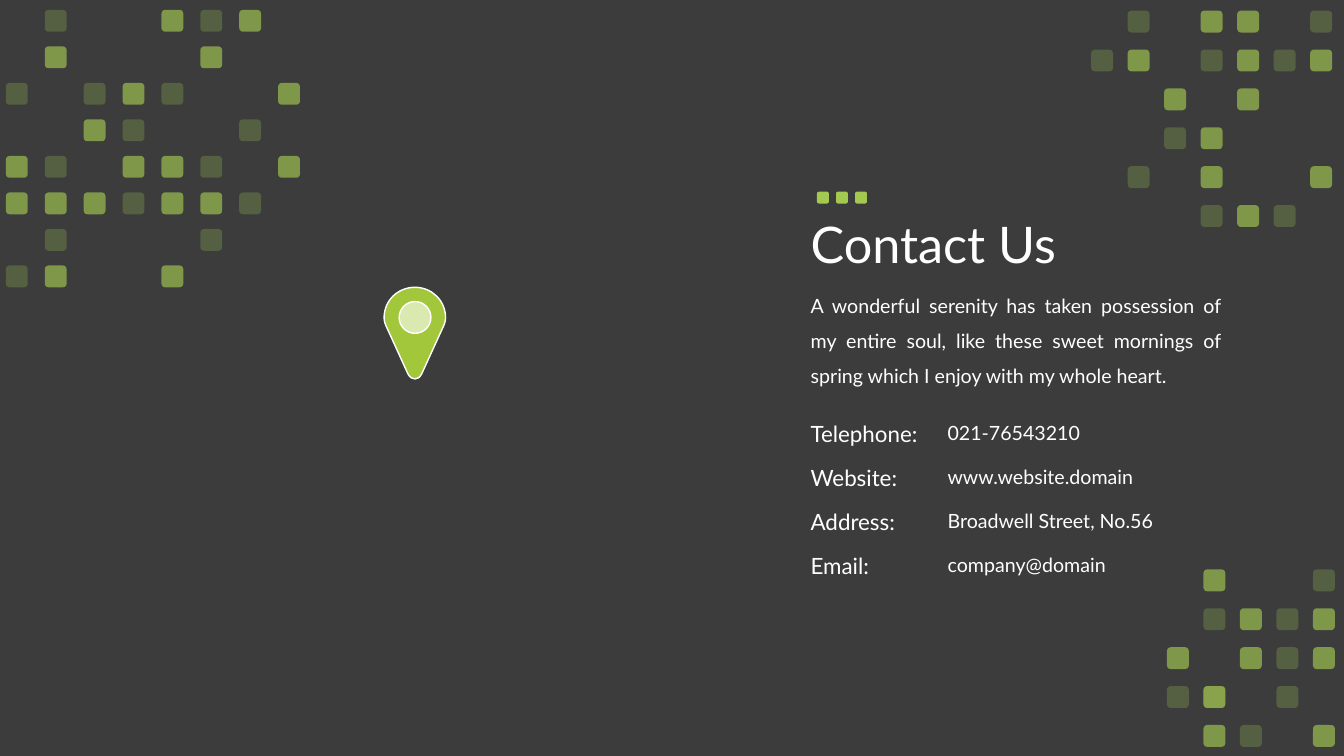
from lxml import etree
from pptx import Presentation
from pptx.dml.color import RGBColor
from pptx.enum.shapes import MSO_SHAPE
from pptx.enum.text import MSO_ANCHOR, PP_ALIGN
from pptx.oxml.ns import qn
from pptx.util import Cm, Pt

ROUNDED = MSO_SHAPE.ROUNDED_RECTANGLE
OVAL = MSO_SHAPE.OVAL
TOP, MIDDLE = MSO_ANCHOR.TOP, MSO_ANCHOR.MIDDLE
LEFT, JUSTIFY = PP_ALIGN.LEFT, PP_ALIGN.JUSTIFY

FONT = "Lato"
BACKGROUND, WHITE = "3C3C3C", "FFFFFF"
TILE_GREEN, PIN_GREEN, PIN_PALE = "A3C951", "A3C73A", "DAE9B0"
TILE_SIZE = 0.55

# "o" is a faint tile, "#" a strong one, "B" a faint tile over a strong one.
TILE_OPACITIES = {".": [], "o": [25], "#": [65], "B": [65, 25]}
TOP_LEFT_TILES = [".o..#o#.", ".#...#..", "o.o#o..#", "..#o..o.",
                  "#o.##o.#", "###o##o.", ".o...o..", "o#..#..."]
TOP_RIGHT_TILES = [".o.##.o", "o#.o#o#", "..#.#..",
                   "..o#...", ".o.#..#", "...o#o."]
BOTTOM_RIGHT_TILES = [".#..o", ".o#o#", "#.#o#", "oB.o.", ".#o.#"]

# Each contour is a start point, then three points for every Bézier segment.
PIN_OUTLINE = [
    (1.47, 1.04),
    (0.95, 2.18), (0.95, 2.18), (0.95, 2.18),
    (0.9, 2.27), (0.85, 2.31), (0.78, 2.31),
    (0.7, 2.31), (0.65, 2.27), (0.6, 2.18),
    (0.08, 1.04), (0.08, 1.04), (0.08, 1.04),
    (0.04, 0.96), (0, 0.86), (0, 0.77),
    (0, 0.33), (0.35, 0), (0.78, 0),
    (1.2, 0), (1.55, 0.33), (1.55, 0.77),
    (1.55, 0.86), (1.51, 0.96), (1.47, 1.04)]
PIN_HOLE = [
    (0.78, 0.36),
    (0.56, 0.36), (0.38, 0.54), (0.38, 0.76),
    (0.38, 0.98), (0.56, 1.16), (0.78, 1.16),
    (1, 1.16), (1.18, 0.98), (1.18, 0.76),
    (1.18, 0.54), (1, 0.36), (0.78, 0.36)]

INTRO = ("A wonderful serenity has taken possession of my entire soul, like these "
         "sweet mornings of spring which I enjoy with my whole heart.")
CONTACTS = [("Telephone:", "021-76543210"), ("Website:", "www.website.domain"),
            ("Address:", "Broadwell Street, No.56"), ("Email:", "company@domain")]


def color(value):
    return RGBColor.from_string(value)


def paint(shape, fill, opacity=100, outline=None):
    shape.shadow.inherit = False
    shape.fill.solid()
    shape.fill.fore_color.rgb = color(fill)
    if opacity < 100:
        tint = shape.fill._xPr.find(qn("a:solidFill"))[0]
        etree.SubElement(tint, qn("a:alpha"), val=str(opacity * 1000))
    if outline:
        shape.line.color.rgb = color(outline)
        shape.line.width = Pt(1)
    else:
        shape.line.fill.background()


def add_tiles(page, left, top, column_step, row_step, pattern):
    group = page.shapes.add_group_shape()
    for row, marks in enumerate(pattern):
        for column, mark in enumerate(marks):
            for opacity in TILE_OPACITIES[mark]:
                tile = group.shapes.add_shape(
                    ROUNDED, Cm(left + column * column_step),
                    Cm(top + row * row_step), Cm(TILE_SIZE), Cm(TILE_SIZE))
                paint(tile, TILE_GREEN, opacity)


def add_dots(page, left, top, size=0.3, step=0.48):
    group = page.shapes.add_group_shape()
    for index in range(3):
        dot = group.shapes.add_shape(
            ROUNDED, Cm(left + index * step), Cm(top), Cm(size), Cm(size))
        paint(dot, TILE_GREEN)


def add_text(page, left, top, width, height, text, size,
             align=LEFT, anchor=TOP, spacing=1.0):
    box = page.shapes.add_textbox(Cm(left), Cm(top), Cm(width), Cm(height))
    frame = box.text_frame
    frame.word_wrap = True
    frame.vertical_anchor = anchor
    para = frame.paragraphs[0]
    para.text = text
    para.alignment = align
    para.line_spacing = spacing
    para.font.name = FONT
    para.font.size = Pt(size)
    para.font.color.rgb = color(WHITE)


def bend_segments(shape):
    """Turn every three straight segments of a freeform into one Bézier curve."""
    lines = list(shape._element.iter(qn("a:lnTo")))
    for first, second, third in zip(lines[::3], lines[1::3], lines[2::3]):
        curve = etree.Element(qn("a:cubicBezTo"))
        first.addprevious(curve)
        for line in (first, second, third):
            curve.append(line[0])
            line.getparent().remove(line)


def add_map_pin(page, left, top):
    group = page.shapes.add_group_shape()
    eye = group.shapes.add_shape(OVAL, Cm(left + 0.34), Cm(top + 0.32), Cm(0.88), Cm(0.88))
    paint(eye, PIN_PALE, outline=WHITE)

    outline, hole = ([(Cm(left + x), Cm(top + y)) for x, y in contour]
                     for contour in (PIN_OUTLINE, PIN_HOLE))
    builder = group.shapes.build_freeform(*outline[0])
    builder.add_line_segments(outline[1:], close=True)
    builder.move_to(*hole[0])
    builder.add_line_segments(hole[1:], close=True)
    pin = builder.convert_to_shape()
    bend_segments(pin)
    paint(pin, PIN_GREEN, outline=WHITE)


def add_contact_panel(page, left, top, width):
    add_text(page, left, top, width, 3.68, "Contact Us", 36, anchor=MIDDLE, spacing=0.9)
    add_text(page, left, top + 2.59, width, 2.82, INTRO, 14, align=JUSTIFY, spacing=1.5)
    for index, (label, value) in enumerate(CONTACTS):
        row_top = top + 6.06 + index * 1.11
        add_text(page, left, row_top, 5.28, 0.94, label, 16)
        add_text(page, left + 3.45, row_top + 0.04, 6.53, 0.86, value, 14)
    add_dots(page, left + 0.41, top + 0.44)


def build_contact_page(deck):
    page = deck.slides.add_slide(deck.slide_layouts[6])
    page.background.fill.solid()
    page.background.fill.fore_color.rgb = color(BACKGROUND)
    add_tiles(page, 0.15, 0.25, 0.98, 0.92, TOP_LEFT_TILES)
    add_map_pin(page, 9.68, 7.24)
    add_tiles(page, 27.5, 0.27, 0.92, 0.98, TOP_RIGHT_TILES)
    add_tiles(page, 29.41, 14.35, 0.92, 0.98, BOTTOM_RIGHT_TILES)
    add_contact_panel(page, 20.18, 4.39, 10.85)


def main():
    deck = Presentation()
    deck.slide_width = Cm(33.87)
    deck.slide_height = Cm(19.05)
    build_contact_page(deck)
    deck.save("out.pptx")


if __name__ == "__main__":
    main()
